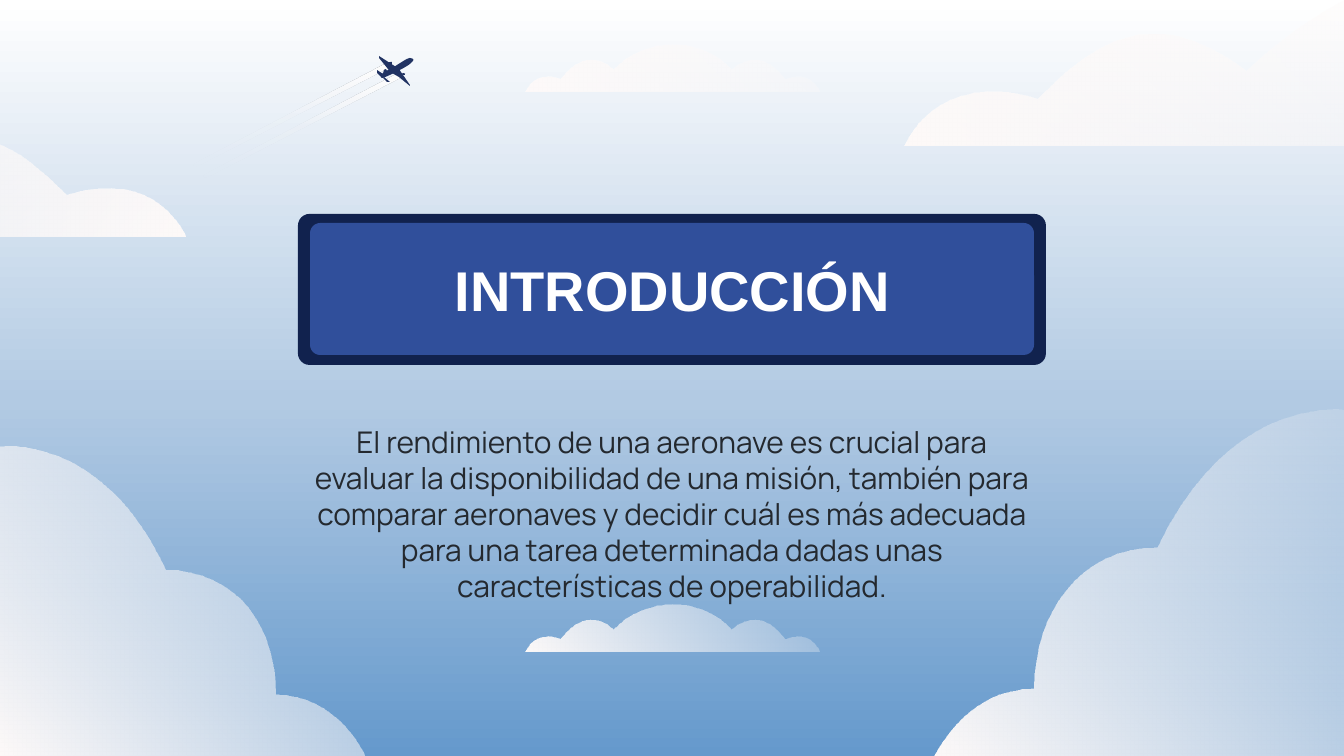
from lxml import etree
from pptx import Presentation
from pptx.dml.color import RGBColor
from pptx.enum import shapes, text
from pptx.oxml.ns import nsdecls, qn
from pptx.util import Pt

SCALE = 914400 / 134.4  # EMU in one px
CENTER = 673
NAVY, BLUE, PLANE = "11224E", "304F9B", "213363"
SKY = [(0, "6599CC", 100), (47, "B2CAE3", 100), (100, "FFFFFF", 100)]
MIST = [(0, "FEFAF9", 19), (100, "FEFAF9", 100)]
TRAIL = [(0, "FFFFFF", 100), (50, "FEFAF9", 10), (100, "FEFAF9", 0)]


def emu(px):
    return round(px * SCALE)


def color(code):
    return RGBColor.from_string(code)


def pairs(step):
    return list(zip(step[::2], step[1::2]))


def shift(path, dx, dy):
    return [tuple(n for x, y in pairs(step) for n in (x + dx, y + dy)) for step in path]


def mirror(path):
    """Close a left half of curves with its reflection about x = 0."""
    spots = [(-x, y) for step in path for x, y in pairs(step)][::-1]
    curves = [sum(spots[i:i + 3], ()) for i in range(1, len(spots), 3)]
    return path + [spots[0]] + curves


def shade(owner, fill, stops, angle):
    """Fill the owner with a linear gradient of (place, colour, opacity) stops."""
    fill.solid()
    fill.fore_color.rgb = color("FFFFFF")
    marks = "".join(
        f'<a:gs pos="{pos * 1000}"><a:srgbClr val="{code}">'
        f'<a:alpha val="{alpha * 1000}"/></a:srgbClr></a:gs>'
        for pos, code, alpha in stops)
    grad = etree.fromstring(
        f'<a:gradFill {nsdecls("a")} rotWithShape="1"><a:gsLst>{marks}</a:gsLst>'
        f'<a:lin ang="{angle * 60000}" scaled="0"/></a:gradFill>')
    flat = next(owner.element.iter(qn("a:solidFill")))
    flat.getparent().replace(flat, grad)


def write(frame, words, font, size, ink, bold=False):
    para = frame.paragraphs[0]
    para.alignment = text.PP_ALIGN.CENTER
    run = para.add_run()
    run.text = words
    run.font.name, run.font.size, run.font.bold = font, Pt(size), bold
    run.font.color.rgb = color(ink)


class Canvas:
    def __init__(self, slide):
        self.slide = slide

    def paint(self, shape, fill, angle):
        shape.shadow.inherit = False
        shape.line.fill.background()
        if isinstance(fill, str):
            shape.fill.solid()
            shape.fill.fore_color.rgb = color(fill)
        else:
            shade(shape, shape.fill, fill, angle)

    def form(self, path, fill, angle=0):
        """Draw a path: a pair is a line, six numbers are a Bezier curve."""
        spots = [(emu(x), emu(y)) for step in path for x, y in pairs(step)]
        pen = self.slide.shapes.build_freeform(*spots[0])
        pen.add_line_segments(spots[1:], close=True)
        shape = pen.convert_to_shape()
        lines = iter(list(shape.element.iter(qn("a:lnTo"))))
        for step in path[1:]:
            first = next(lines)
            if len(step) == 6:
                curve = etree.Element(qn("a:cubicBezTo"))
                first.addprevious(curve)
                for line in (first, next(lines), next(lines)):
                    curve.append(line[0])
                    line.getparent().remove(line)
        self.paint(shape, fill, angle)

    def panel(self, x, y, w, h, fill):
        shape = self.slide.shapes.add_shape(
            shapes.MSO_SHAPE.ROUNDED_RECTANGLE, *map(emu, (x, y, w, h)))
        shape.adjustments[0] = 0.077
        self.paint(shape, fill, 0)

    def label(self, x, y, w, h, words, anchor, **style):
        frame = self.slide.shapes.add_textbox(*map(emu, (x, y, w, h))).text_frame
        frame.word_wrap = True
        frame.vertical_anchor = anchor
        frame.margin_left = frame.margin_right = emu(13)
        frame.margin_top = frame.margin_bottom = emu(13)
        write(frame, words, **style)


def main():
    deck = Presentation()
    deck.slide_width, deck.slide_height = emu(1344), emu(756)
    slide = deck.slides.add_slide(deck.slide_layouts[6])
    canvas = Canvas(slide)

    # Sky
    shade(slide, slide.background.fill, SKY, 270)

    # Large clouds at the edges
    clouds = [
        (135, (0, 447), (0, 447, 101, 431, 165, 570), (237, 570, 275, 628, 275, 694),
         (337, 694, 364, 756, 364, 756), (0, 756)),
        (135, (1344, 410), (1344, 410, 1230, 392, 1157, 547),
         (1078, 547, 1034, 614, 1034, 688), (964, 688, 933, 758, 933, 758),
         (1344, 758), (1344, 410)),
        (135, (1480, -27), (1480, -27, 1380, -56, 1246, 70), (1149, -4, 1090, 46, 1038, 98),
         (935, 66, 905, 145, 905, 145), (1480, 145)),
        (45, (-331, 83), (-331, 83, -235, 56, -121, 169), (-34, 103, 19, 148, 66, 195),
         (157, 165, 185, 237, 185, 237), (-331, 237)),
    ]
    for angle, *path in clouds:
        canvas.form(path, MIST, angle)

    # Title sign
    canvas.panel(298, 214, 748, 151, NAVY)
    canvas.panel(310, 223, 724, 132, BLUE)
    canvas.label(379, 240, 587, 99, "INTRODUCCIÓN", text.MSO_ANCHOR.MIDDLE,
                 font="Arial", size=30, ink="FFFFFF", bold=True)

    # Body text
    canvas.label(
        298, 411, 748, 180,
        "El rendimiento de una aeronave es crucial para evaluar la disponibilidad de una "
        "misión, también para comparar aeronaves y decidir cuál es más adecuada para una "
        "tarea determinada dadas unas características de operabilidad.",
        text.MSO_ANCHOR.TOP, font="Manrope", size=16, ink="24292F")

    # Small symmetric clouds
    half = [(0, 0), (-21, 0, -44, 8, -59, 25), (-67, 17, -75, 15, -82, 15),
            (-94, 15, -103, 23, -112, 34), (-117, 32, -121, 31, -124, 31),
            (-141, 31, -147, 47, -147, 47)]
    for top in (605, 45):
        canvas.form(shift(mirror(half), CENTER, top), MIST, 135)

    # Trails behind the plane
    trail = [(195, 168), (194, 164), (387, 63), (391, 67)]
    for dx, dy in ((0, 0), (10, 11)):
        canvas.form(shift(trail, dx, dy), TRAIL, 90)

    # Plane: body, wings, engines and tail
    parts = [
        [(410, 58), (410, 58, 410, 58, 410, 58), (408, 58, 408, 58, 407, 59),
         (405, 60, 394, 67, 391, 69), (387, 70, 384, 73, 382, 74), (382, 78),
         (384, 78, 390, 75, 390, 75), (390, 75, 409, 66, 411, 63),
         (415, 60, 413, 59, 413, 59), (413, 59, 411, 58, 410, 58)],
        [(399, 69), (392, 73), (399, 77), (410, 86), (410, 85), (399, 69)],
        [(403, 73), (403, 73, 403, 73, 403, 73), (402, 73, 402, 73, 402, 74),
         (402, 75, 403, 75, 403, 75), (403, 75, 405, 75, 405, 75),
         (406, 74, 405, 73, 403, 73)],
        [(384, 77), (383, 78), (387, 82), (390, 82), (384, 77)],
        [(379, 56), (379, 58), (388, 69), (391, 73), (396, 67), (379, 56)],
        [(391, 62), (390, 62, 388, 62, 388, 63), (388, 65, 390, 66, 391, 66),
         (391, 66, 391, 65, 391, 65), (392, 65, 392, 63, 392, 62),
         (392, 62, 391, 62, 391, 62)],
        [(377, 70), (377, 73), (382, 78), (383, 74), (377, 70)],
        [(386, 69), (384, 70), (383, 74), (387, 71), (386, 69)],
        [(402, 73), (401, 74), (402, 75), (402, 73)],
        [(390, 62), (388, 62), (390, 63), (390, 62)],
    ]
    for part in parts:
        canvas.form(part, PLANE)

    deck.save("out.pptx")


if __name__ == "__main__":
    main()
